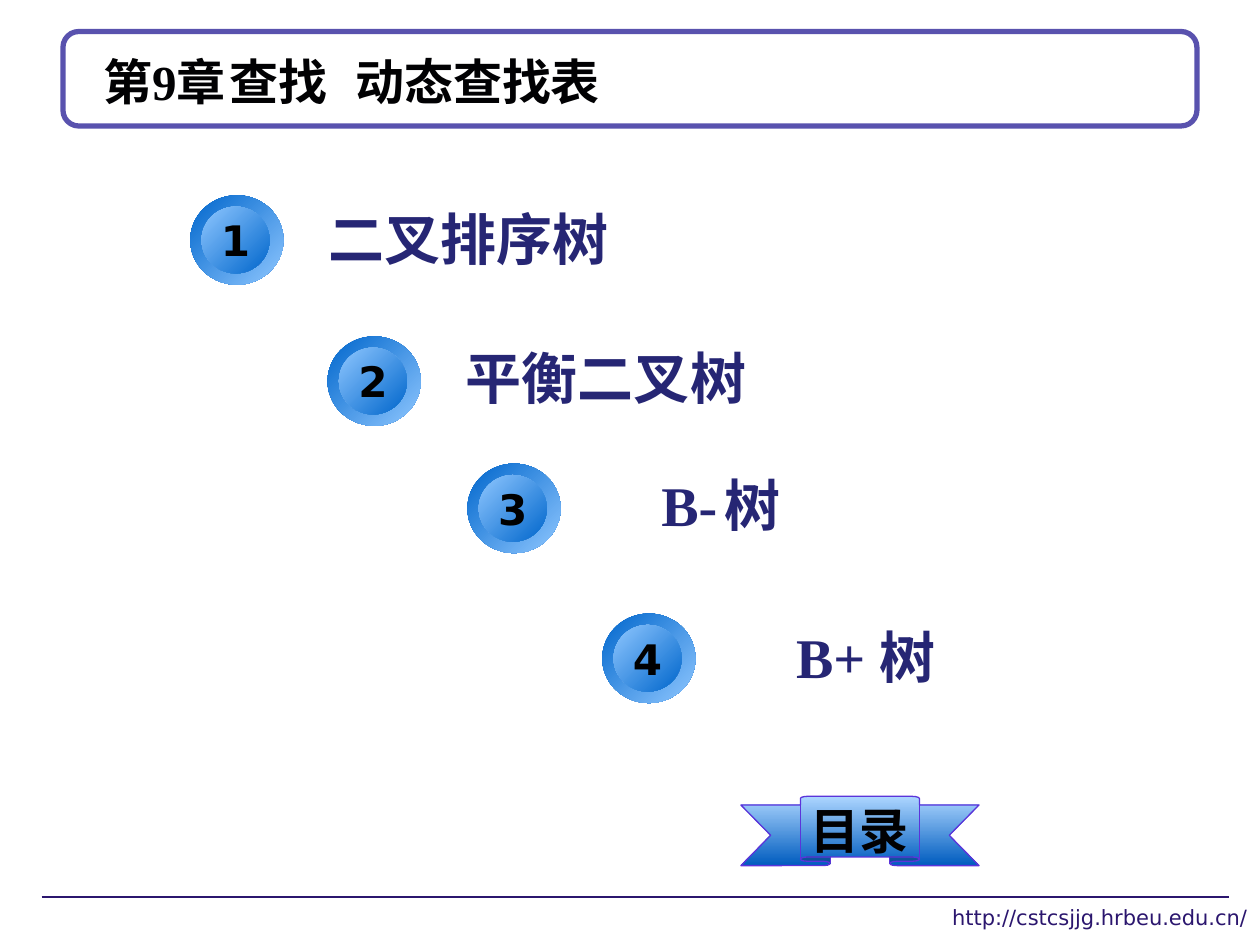
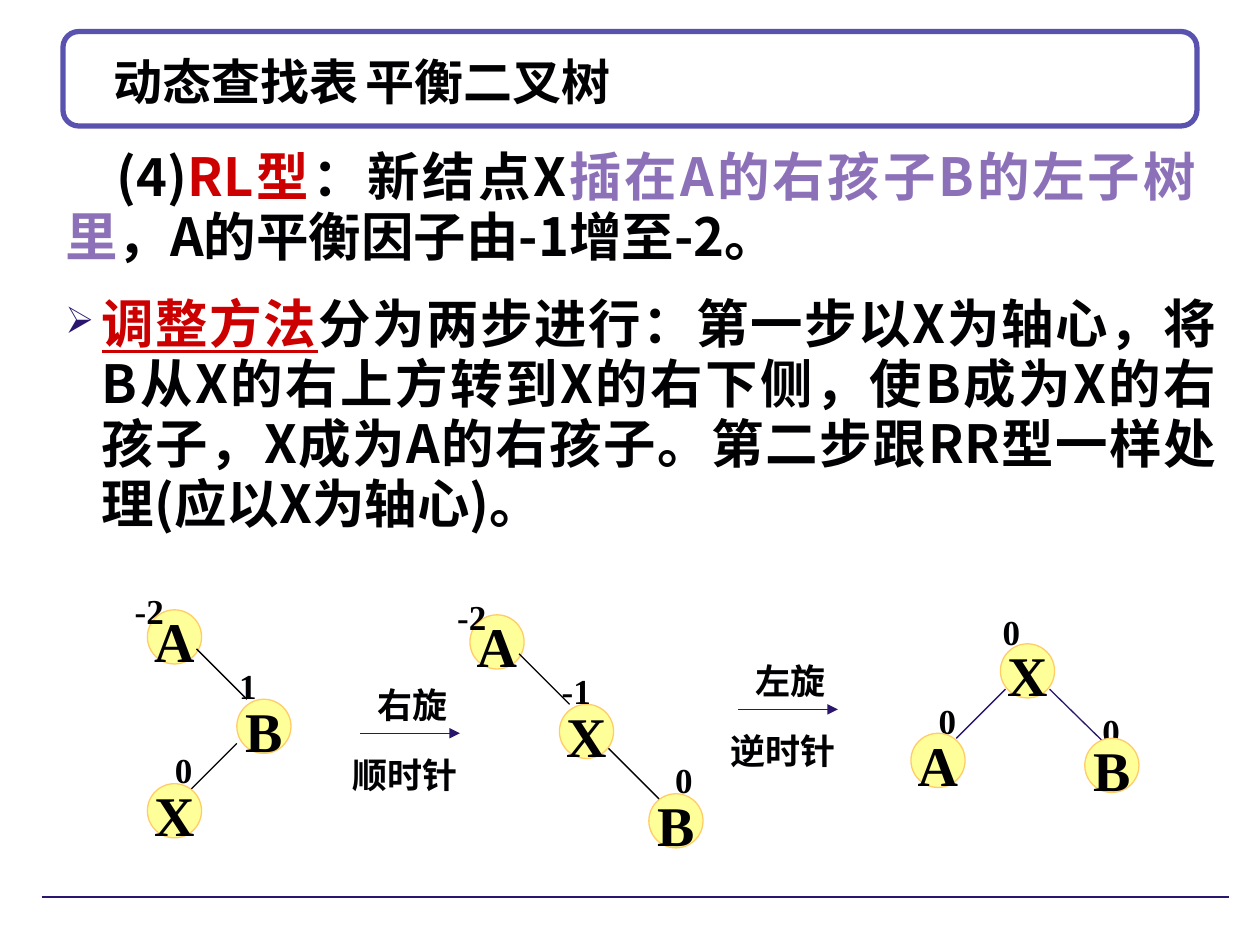
import pptx
import pptx.dml.color
import pptx.enum.shapes
import pptx.enum.text
import pptx.oxml
import pptx.oxml.ns
import pptx.util
from lxml import etree

EMU_PER_PX = 9144
COLORS = {
    "white": "FFFFFF", "black": "000000", "ink": "010103", "navy": "2B166E",
    "label": "262674", "frame": "5952AE", "red": "CC0000", "violet": "8C71B9",
    "node": "FFFF99", "node_line": "FFCC66", "blue": "0066CC", "sky": "8FC7FF",
    "ribbon_top": "ADD6FF", "ribbon_bottom": "005CBF", "ribbon_line": "5B34DA",
}
SERIF, SANS, LATO, CJK = "Times New Roman", "DejaVu Sans", "Lato", "Noto Sans CJK SC"
SHAPE = pptx.enum.shapes.MSO_SHAPE
ALIGN = pptx.enum.text.PP_ALIGN
ANCHOR = pptx.enum.text.MSO_ANCHOR


def px(n):
    """Turn px into EMU."""
    return pptx.util.Emu(n * EMU_PER_PX)


def rgb(name):
    """Look up a colour by name."""
    return pptx.dml.color.RGBColor.from_string(COLORS[name])


def add_xml(parent, tag, **attrs):
    """Append a drawing element to parent."""
    child = etree.SubElement(parent, pptx.oxml.ns.qn(tag))
    for key, value in attrs.items():
        child.set(key, str(value))
    return child


def write(sp, text, size=20, font=SERIF, color="ink", bold=True, align=ALIGN.LEFT,
          anchor=ANCHOR.TOP, wrap=True, spacing=None, margins=(10, 5, 10, 5),
          left=0, indent=0, bullet=None, tabs=()):
    """Write one paragraph, given as a string or a list of (text, color, underline)."""
    tf = sp.text_frame
    tf.word_wrap, tf.vertical_anchor = wrap, anchor
    tf.margin_left, tf.margin_top, tf.margin_right, tf.margin_bottom = map(px, margins)
    p = tf.paragraphs[0]
    p.alignment = align
    if spacing:
        p.line_spacing = spacing
    pPr = p._p.get_or_add_pPr()
    pPr.set("marL", str(px(left)))
    pPr.set("indent", str(px(indent)))
    if bullet:
        add_xml(add_xml(pPr, "a:buClr"), "a:srgbClr", val=COLORS["navy"])
        add_xml(pPr, "a:buSzPct", val=70000)
        add_xml(pPr, "a:buChar", char=bullet)
    if tabs:
        tab_list = add_xml(pPr, "a:tabLst")
        for pos, side in tabs:
            add_xml(tab_list, "a:tab", pos=px(pos), algn=side)
    runs = [(text, color, False)] if isinstance(text, str) else text
    for words, run_color, underline in runs:
        r = p.add_run()
        r.text = words
        r.font.size, r.font.name, r.font.bold = pptx.util.Pt(size), font, bold
        r.font.color.rgb = rgb(run_color)
        if underline:
            r.font.underline = True
        add_xml(r._r.get_or_add_rPr(), "a:ea", typeface=CJK)


class Deck:
    """Holds the presentation style and the current slide."""

    def __init__(self):
        self.prs = pptx.Presentation()
        self.prs.slide_width, self.prs.slide_height = px(1000), px(750)

    def slide(self, title, margin, tabs=()):
        """Start a slide with its framed title and bottom rule."""
        self.s = self.prs.slides.add_slide(self.prs.slide_layouts[6])
        frame = self.shape(SHAPE.ROUNDED_RECTANGLE, 50, 25, 900, 75, "white", "frame", 3)
        frame.adjustments[0] = 0.167
        self.line(33, 712, 975, 712)
        self.text(50, 33, 900, 62, title, size=28, anchor=ANCHOR.MIDDLE,
                  margins=(margin, 0, 0, 0), tabs=[*tabs, (900 - 2 * margin, "r")])

    def shape(self, kind, x, y, w, h, fill, line=None, width=0.75, angle=0):
        """Add a preset shape with a plain fill or a (start, end) gradient."""
        sp = self.s.shapes.add_shape(kind, px(x), px(y), px(w), px(h))
        sp.shadow.inherit = False
        if isinstance(fill, str):
            sp.fill.solid()
            sp.fill.fore_color.rgb = rgb(fill)
        else:
            sp.fill.gradient()
            sp.fill.gradient_angle = 360 - angle
            for stop, name in zip(sp.fill.gradient_stops, fill):
                stop.color.rgb = rgb(name)
        if line:
            sp.line.color.rgb = rgb(line)
            sp.line.width = pptx.util.Pt(width)
        else:
            sp.line.fill.background()
        return sp

    def text(self, x, y, w, h, text, **fmt):
        """Add a text box."""
        write(self.s.shapes.add_textbox(px(x), px(y), px(w), px(h)), text, **fmt)

    def line(self, x1, y1, x2, y2, color="navy", arrow=False):
        """Add a straight line, with an arrowhead at its end if asked."""
        c = self.s.shapes.add_connector(
            pptx.enum.shapes.MSO_CONNECTOR.STRAIGHT, px(x1), px(y1), px(x2), px(y2))
        c.line.color.rgb = rgb(color)
        c.line.width = pptx.util.Pt(0.75)
        if arrow:
            add_xml(c.line._get_or_add_ln(), "a:tailEnd", type="triangle")
        add_xml(c._element.spPr, "a:effectLst")

    def badge(self, x, y, number):
        """Add a numbered two-ring disc."""
        self.shape(SHAPE.OVAL, x, y, 74, 71, ("blue", "sky"), angle=45)
        sp = self.shape(SHAPE.OVAL, x + 9, y + 9, 54, 53, ("sky", "blue"), angle=45)
        write(sp, number, size=24, font=SANS, color="black", align=ALIGN.CENTER,
              anchor=ANCHOR.MIDDLE, wrap=False)

    def ribbon(self, x, y, w, h, text):
        """Add a ribbon banner."""
        sp = self.shape(SHAPE.UP_RIBBON, x, y, w, h, ("ribbon_top", "ribbon_bottom"),
                        "ribbon_line", angle=90)
        sp.adjustments[0], sp.adjustments[1] = 0.125, 0.5
        write(sp, text, size=28, font=LATO, align=ALIGN.CENTER,
              anchor=ANCHOR.MIDDLE, wrap=False, spacing=1.1)

    def node(self, letter, x, y):
        """Add a tree node."""
        sp = self.shape(SHAPE.OVAL, x, y, 43, 43, "node", "node_line")
        write(sp, letter, size=32, align=ALIGN.CENTER, anchor=ANCHOR.MIDDLE,
              wrap=False, spacing=1.1)

    def tag(self, text, x, y, w=51, font=SERIF):
        """Add a balance factor or a rotation caption."""
        self.text(x, y, w, 47, text, font=font, spacing=1.1)

    def tree(self, parts):
        """Draw the nodes, edges and tags of a tree in the order given."""
        draw = {"nodes": self.node, "edges": self.line, "tags": self.tag}
        for kind, items in parts.items():
            for item in items:
                draw[kind](*item)

    def rotation(self, x, y, turn, direction):
        """Add a rotation arrow with a caption above and below."""
        self.line(x, y, x + 79, y, arrow=True)
        self.tag(turn, x + 4, y - 48, 79, LATO)
        self.tag(direction, x - 16, y + 8, 118, LATO)


TOPICS = [
    ("二叉排序树", 151, 155, 251, 160),
    ("平衡二叉树", 260, 267, 360, 270),
    ("B-\t树", 371, 368, 515, 371),
    ("B+ 树", 478, 487, 622, 492),
]
TREES = [
    {"nodes": [("A", 117, 484), ("B", 188, 555), ("X", 117, 622)],
     "tags": [("-2", 97, 460), ("1", 180, 519), ("0", 129, 586)],
     "edges": [(156, 515, 196, 555, "black"), (188, 590, 152, 626, "black")]},
    {"nodes": [("A", 373, 488), ("X", 444, 559), ("B", 515, 630)],
     "tags": [("-2", 353, 464), ("-1", 436, 523), ("0", 526, 594)],
     "edges": [(412, 519, 452, 559, "black"), (483, 594, 523, 634, "black")]},
    {"tags": [("0", 786, 476), ("0", 735, 547), ("0", 865, 555)],
     "edges": [(798, 547, 759, 586), (833, 547, 877, 590)],
     "nodes": [("X", 794, 511), ("A", 723, 582), ("B", 861, 586)]},
]
RL_CASE = [
    ("(4)", "ink", False), ("RL型", "red", False), ("：新结点X", "ink", False),
    ("插在A的右孩子B的左子树里", "violet", False),
    ("，A的平衡因子由-1增至-2。", "ink", False),
]
ADJUSTMENT = [
    ("调整方法", "red", True),
    ("分为两步进行：第一步以X为轴心，将B从X的右上方转到X的右下侧，使B成为X的右孩子，"
     "X成为A的右孩子。第二步跟RR型一样处理(应以X为轴心)。", "ink", False),
]


def main():
    """Build both slides and save them."""
    deck = Deck()
    deck.slide("第9章\t查找\t动态查找表", 32, tabs=[(132, "l")])
    deck.text(604, 713, 396, 37, "http://cstcsjjg.hrbeu.edu.cn/", size=12, font=SANS,
              color="navy", bold=False, align=ALIGN.RIGHT)
    for number, (topic, x, y, label_x, label_y) in enumerate(TOPICS, 1):
        deck.badge(x, y, str(number))
        deck.text(label_x, label_y, 300, 58, topic, size=32, color="label",
                  anchor=ANCHOR.MIDDLE, tabs=[(78, "l")])
    deck.ribbon(588, 632, 189, 55, "目录")

    deck.slide("动态查找表\t平衡二叉树", 40)
    body = dict(size=30, font=CJK, align=ALIGN.JUSTIFY, spacing=0.95)
    deck.text(42, 113, 917, 105, RL_CASE, indent=41, **body)
    deck.text(42, 230, 933, 200, ADJUSTMENT, left=29, indent=-29, bullet="➢", **body)
    for parts in TREES:
        deck.tree(parts)
    deck.rotation(286, 582, "右旋", "顺时针")
    deck.rotation(586, 563, "左旋", "逆时针")
    deck.prs.save("out.pptx")


if __name__ == "__main__":
    main()
